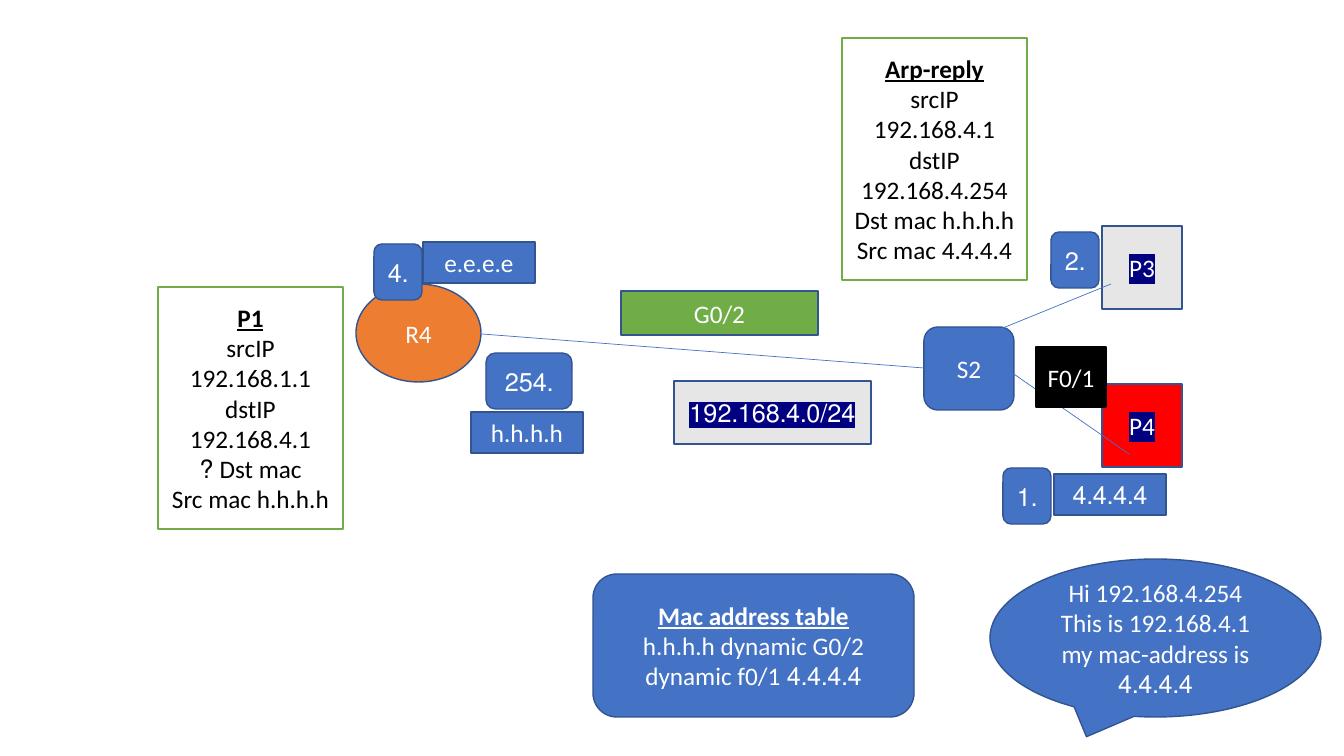
"""Build a network diagram slide showing an ARP reply between router and PCs."""
from dataclasses import dataclass

from lxml import etree
from pptx import Presentation
from pptx import util as u
from pptx.dml.color import RGBColor
from pptx.enum import shapes, text
from pptx.oxml import ns


@dataclass(frozen=True)
class Theme:
    """Colours and type sizes of the slide."""
    blue: str = "4472C4"
    outline: str = "325491"
    green: str = "70AD47"
    orange: str = "ED7D31"
    red: str = "FF0000"
    grey: str = "E7E6E6"
    white: str = "FFFFFF"
    black: str = "000000"
    highlight: str = "000080"
    font: str = "Calibri"
    size: int = 18
    border: float = 1
    link: float = 0.5


THEME = Theme()
KIND = shapes.MSO_SHAPE
ADDRESS_SIZE = (112, 41)
HOST_SIZE = (48, 56)
PC_SIZE = (80, 83)
WIDE = 197


def px(length):
    """Turn pixels into EMU."""
    return u.Emu(round(length * 914400 / 100.8))


def rgb(colour):
    """Turn a hex string into a colour."""
    return RGBColor.from_string(colour)


def add_highlight(run):
    """Mark the background of a run."""
    highlight = etree.Element(ns.qn("a:highlight"))
    etree.SubElement(highlight, ns.qn("a:srgbClr"), val=THEME.highlight)
    run.font.fill._xPr.find(ns.qn("a:latin")).addprevious(highlight)


def write(shape, wording, colour, heading=False, highlighted=False):
    """Fill a shape with centred right-to-left paragraphs."""
    frame = shape.text_frame
    frame.text = wording
    frame.word_wrap = True
    frame.vertical_anchor = text.MSO_ANCHOR.MIDDLE
    for index, paragraph in enumerate(frame.paragraphs):
        paragraph.alignment = text.PP_ALIGN.CENTER
        paragraph._p.get_or_add_pPr().set("rtl", "1")
        for run in paragraph.runs:
            run.font.name = THEME.font
            run.font.size = u.Pt(THEME.size)
            run.font.color.rgb = rgb(colour)
            run.font.bold = run.font.underline = heading and index == 0
            if highlighted:
                add_highlight(run)


def add_box(slide, wording, position, size, kind=KIND.RECTANGLE, fill=THEME.blue,
            line=THEME.outline, colour=THEME.white, **style):
    """Add a filled shape with text."""
    shape = slide.shapes.add_shape(kind, *map(px, position + size))
    shape.shadow.inherit = False
    shape.fill.solid()
    shape.fill.fore_color.rgb = rgb(fill)
    shape.line.color.rgb = rgb(line)
    shape.line.width = u.Pt(THEME.border)
    write(shape, wording, colour, **style)


def add_packet(slide, wording, position):
    """Add a white packet card with a heading."""
    add_box(slide, wording, position, (185, 242), fill=THEME.white,
            line=THEME.green, colour=THEME.black, heading=True)


def add_host(slide, wording, position, size=HOST_SIZE):
    """Add a rounded label with the last part of an IP address."""
    add_box(slide, wording, position, size, KIND.ROUNDED_RECTANGLE)


def add_link(slide, start, end):
    """Add a thin line between two devices."""
    link = slide.shapes.add_connector(
        shapes.MSO_CONNECTOR.STRAIGHT, *map(px, start + end))
    link.line.color.rgb = rgb(THEME.blue)
    link.line.width = u.Pt(THEME.link)
    etree.SubElement(link._element.spPr, ns.qn("a:effectLst"))


def add_devices(slide):
    """Add the router, the switch, the PCs and their links."""
    add_box(slide, "R4", (356, 284), (125, 98), KIND.OVAL, THEME.orange)
    add_box(slide, "P3", (1102, 226), PC_SIZE, fill=THEME.grey, highlighted=True)
    add_box(slide, "P4", (1102, 384), PC_SIZE, fill=THEME.red, highlighted=True)
    add_box(slide, "S2", (924, 327), (90, 83), KIND.ROUNDED_RECTANGLE)
    add_link(slide, (998, 363), (1129, 454))
    add_link(slide, (998, 330), (1111, 284))
    add_link(slide, (482, 334), (924, 368))


def add_labels(slide):
    """Add the addresses and the port names."""
    add_host(slide, ".4", (374, 244))
    add_host(slide, ".2", (1051, 232))
    add_host(slide, ".1", (1003, 468))
    add_host(slide, ".254", (486, 353), (86, 56))
    for address, position in (("e.e.e.e", (423, 242)), ("h.h.h.h", (471, 412)),
                              ("4.4.4.4", (1054, 474))):
        add_box(slide, address, position, ADDRESS_SIZE)
    add_box(slide, "192.168.4.0/24", (674, 381), (WIDE, 63),
            fill=THEME.grey, highlighted=True)
    add_box(slide, "G0/2", (621, 291), (WIDE, 44), fill=THEME.green)
    add_box(slide, "F0/1", (1036, 347), (70, 60), fill=THEME.black, line=THEME.black)


def add_messages(slide):
    """Add the packets, the MAC address table and the spoken reply."""
    add_packet(slide, "P1\nsrcIP 192.168.1.1\ndstIP 192.168.4.1\n"
               "Dst mac ?\nSrc mac h.h.h.h", (158, 287))
    add_packet(slide, "Arp-reply\nsrcIP 192.168.4.1\ndstIP 192.168.4.254\n"
               "Dst mac h.h.h.h\nSrc mac 4.4.4.4", (842, 38))
    add_box(slide, "Mac address table\nh.h.h.h dynamic G0/2\n4.4.4.4 dynamic f0/1",
            (593, 574), (321, 143), KIND.ROUNDED_RECTANGLE, heading=True)
    add_box(slide, "Hi 192.168.4.254\nThis is 192.168.4.1\nmy mac-address is\n4.4.4.4",
            (990, 559), (331, 158), KIND.OVAL_CALLOUT)


def main():
    """Build and save the slide."""
    presentation = Presentation()
    presentation.slide_width, presentation.slide_height = px(1344), px(756)
    slide = presentation.slides.add_slide(presentation.slide_layouts[6])
    add_devices(slide)
    add_labels(slide)
    add_messages(slide)
    presentation.save("out.pptx")


if __name__ == "__main__":
    main()
